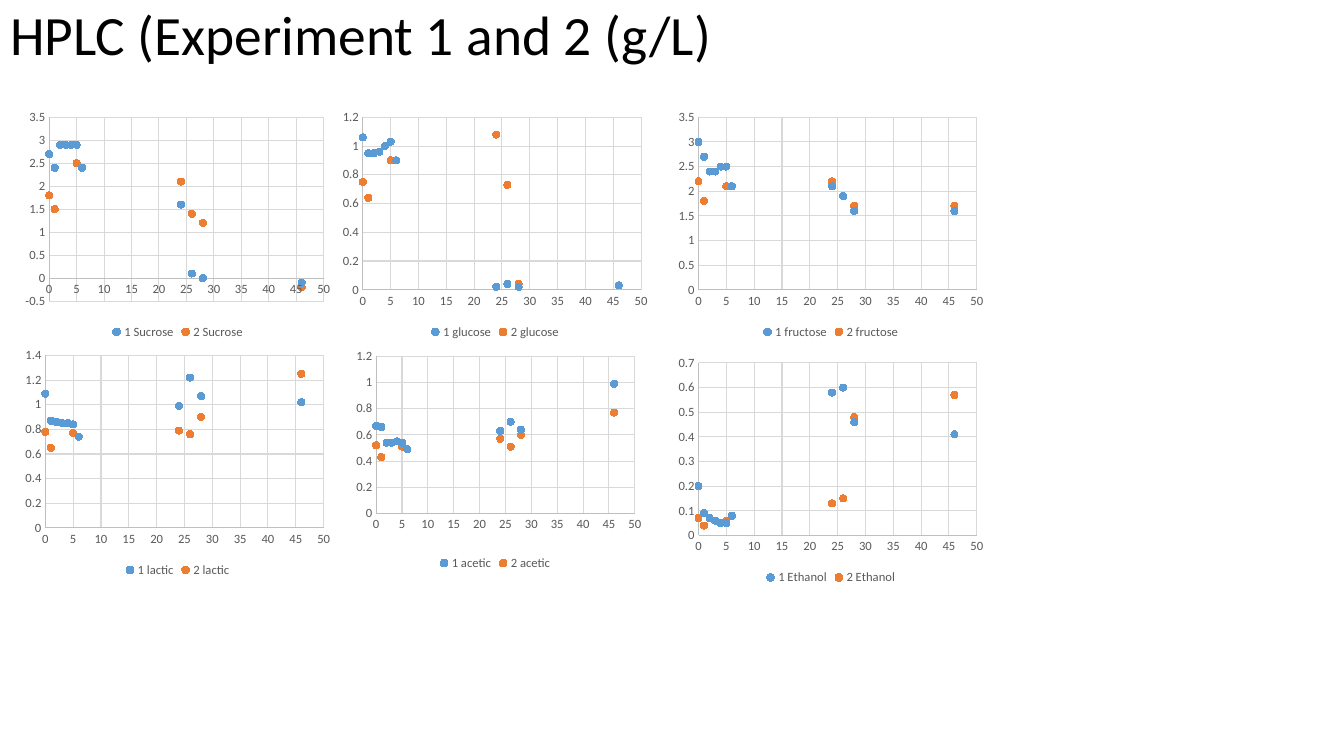
from lxml.etree import SubElement
from pptx import Presentation
from pptx.chart.data import XyChartData
from pptx.dml.color import RGBColor
from pptx.enum.chart import XL_CHART_TYPE, XL_LEGEND_POSITION, XL_MARKER_STYLE, XL_TICK_MARK
from pptx.enum.text import MSO_ANCHOR, MSO_AUTO_SIZE, PP_ALIGN
from pptx.oxml.ns import qn
from pptx.util import Cm, Pt

HUES = {"text": "000000", "label": "595959", "axis": "BFBFBF", "grid": "D9D9D9",
        "1": "5B9BD5", "2": "ED7D31"}
FACE = "Calibri"
HOURS = [0, 1, 2, 3, 4, 5, 6, 24, 26, 28, 46]
WIDE, HIGH = 8, 6
GAP = None

CHARTS = [
    {"name": "Sucrose", "at": (0.48, 2.65), "scale": (-0.5, 3.5, 0.5),
     "runs": {"1": [2.7, 2.4, 2.9, 2.9, 2.9, 2.9, 2.4, 1.6, 0.1, 0, -0.1],
              "2": [1.8, 1.5, GAP, GAP, GAP, 2.5, GAP, 2.1, 1.4, 1.2, -0.2]}},
    {"name": "glucose", "at": (8.48, 2.65), "scale": (0, 1.2, 0.2),
     "runs": {"1": [1.06, 0.95, 0.95, 0.96, 1, 1.03, 0.9, 0.02, 0.04, 0.02, 0.03],
              "2": [0.75, 0.64, GAP, GAP, GAP, 0.9, GAP, 1.08, 0.73, 0.04, 0.03]}},
    {"name": "fructose", "at": (16.94, 2.65), "scale": (0, 3.5, 0.5),
     "runs": {"1": [3, 2.7, 2.4, 2.4, 2.5, 2.5, 2.1, 2.1, 1.9, 1.6, 1.6],
              "2": [2.2, 1.8, GAP, GAP, GAP, 2.1, GAP, 2.2, 1.9, 1.7, 1.7]}},
    {"name": "lactic", "at": (0.48, 8.65), "scale": (0, 1.4, 0.2),
     "runs": {"1": [1.09, 0.87, 0.86, 0.85, 0.85, 0.84, 0.74, 0.99, 1.22, 1.07, 1.02],
              "2": [0.78, 0.65, GAP, GAP, GAP, 0.77, GAP, 0.79, 0.76, 0.9, 1.25]}},
    {"name": "acetic", "at": (8.48, 8.48), "scale": (0, 1.2, 0.2),
     "plot": {"x": 1 / 8, "y": 1 / 12, "w": 0.94 - 1 / 8, "h": 0.66},
     "runs": {"1": [0.67, 0.66, 0.54, 0.54, 0.55, 0.54, 0.49, 0.63, 0.7, 0.64, 0.99],
              "2": [0.52, 0.43, GAP, GAP, GAP, 0.51, GAP, 0.57, 0.51, 0.6, 0.77]}},
    {"name": "Ethanol", "at": (16.94, 8.84), "scale": (0, 0.7, 0.1),
     "runs": {"1": [0.2, 0.09, 0.07, 0.06, 0.05, 0.05, 0.08, 0.58, 0.6, 0.46, 0.41],
              "2": [0.07, 0.04, GAP, GAP, GAP, 0.06, GAP, 0.13, 0.15, 0.48, 0.57]}},
]


def hue(key):
    """Return the named colour."""
    return RGBColor.from_string(HUES[key])


def set_font(font, size, key):
    """Set face, size and colour of a font."""
    font.name, font.size = FACE, Pt(size)
    font.color.rgb = hue(key)


def set_line(line, key):
    """Draw a thin line in the named colour."""
    line.width = Pt(0.75)
    line.color.rgb = hue(key)


def add_title(slide, box):
    """Place and format the slide title in the box."""
    title = slide.shapes.title
    title.left, title.top, title.width, title.height = map(Cm, box)
    frame = title.text_frame
    frame.text = "HPLC (Experiment 1 and 2 (g/L)"
    frame.auto_size = MSO_AUTO_SIZE.NONE
    frame.word_wrap = True
    frame.vertical_anchor = MSO_ANCHOR.MIDDLE
    para = frame.paragraphs[0]
    para.alignment, para.line_spacing = PP_ALIGN.LEFT, 0.9
    set_font(para.runs[0].font, 39.6, "text")


def set_axis(axis, low, top, step):
    """Scale and format one axis with its grid."""
    axis.minimum_scale, axis.maximum_scale, axis.major_unit = low, top, step
    axis.major_tick_mark = axis.minor_tick_mark = XL_TICK_MARK.NONE
    axis.has_major_gridlines = True
    set_line(axis.major_gridlines.format.line, "grid")
    set_line(axis.format.line, "axis")
    set_font(axis.tick_labels.font, 9, "label")
    axis.tick_labels.number_format = "General"
    axis.tick_labels.number_format_is_linked = False


def set_series(series, key):
    """Show a series as round markers and drop its empty points."""
    series.format.line.fill.background()
    marker = series.marker
    marker.style, marker.size = XL_MARKER_STYLE.CIRCLE, 5
    marker.format.fill.solid()
    marker.format.fill.fore_color.rgb = hue(key)
    set_line(marker.format.line, key)
    smooth = series._element.find(qn("c:smooth"))
    if smooth is not None:
        smooth.set("val", "0")
    for point in list(series._element.iter(qn("c:pt"))):
        if point.find(qn("c:v")).text == "None":
            point.getparent().remove(point)


def set_plot(chart, plot):
    """Fix the inner plot area as shares of the chart."""
    area = chart._chartSpace.chart.plotArea
    layout = area.find(qn("c:layout"))
    if layout is None:
        layout = SubElement(area, qn("c:layout"))
        area.insert(0, layout)
    manual = SubElement(layout, qn("c:manualLayout"))
    parts = {"layoutTarget": "inner", "xMode": "edge", "yMode": "edge", **plot}
    for tag, value in parts.items():
        SubElement(manual, qn("c:" + tag)).set("val", str(value))


def add_scatter(slide, box, item):
    """Add one scatter chart in the box."""
    data = XyChartData()
    for key, values in item["runs"].items():
        series = data.add_series(f"{key} {item['name']}")
        for hour, value in zip(HOURS, values):
            series.add_data_point(hour, value)
    chart = slide.shapes.add_chart(XL_CHART_TYPE.XY_SCATTER, *map(Cm, box), data).chart
    chart.has_title = False
    set_font(chart.font, 10, "text")
    chart.has_legend = True
    chart.legend.position = XL_LEGEND_POSITION.BOTTOM
    chart.legend.include_in_layout = False
    set_font(chart.legend.font, 9, "label")
    set_axis(chart.category_axis, 0, 50, 5)
    set_axis(chart.value_axis, *item["scale"])
    plot = chart.plots[0]
    plot.vary_by_categories = False
    for series, key in zip(plot.series, item["runs"]):
        set_series(series, key)
    if "plot" in item:
        set_plot(chart, item["plot"])


def main():
    """Build and save the slide."""
    deck = Presentation()
    deck.slide_width, deck.slide_height = Cm(33.87), Cm(19.05)
    slide = deck.slides.add_slide(deck.slide_layouts.get_by_name("Title Only"))
    add_title(slide, (0, 0, 29.21, 1.88))
    for item in CHARTS:
        add_scatter(slide, (*item["at"], WIDE, HIGH), item)
    deck.save("out.pptx")


if __name__ == "__main__":
    main()
